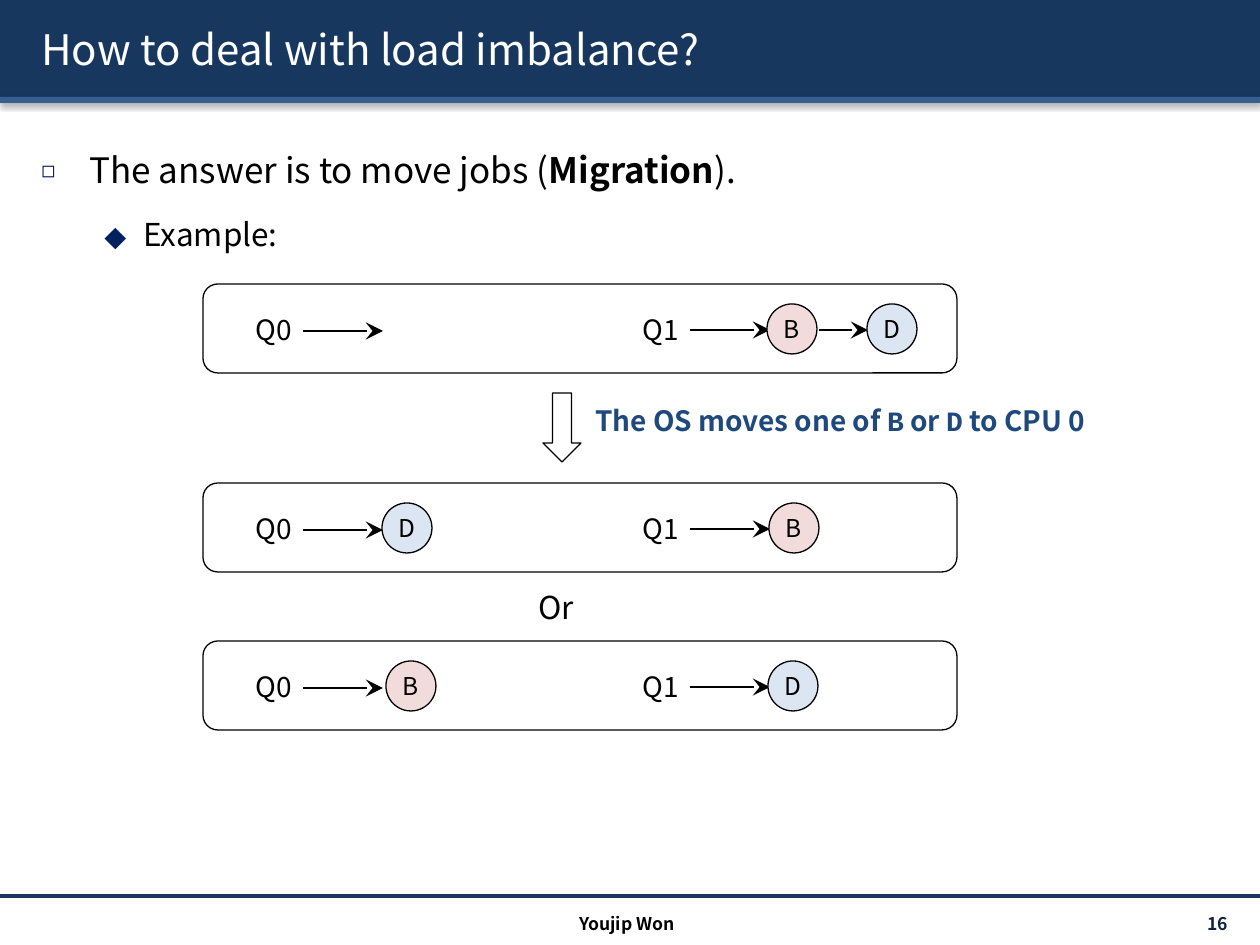
from lxml import etree
from pptx import Presentation
from pptx.dml.color import RGBColor
from pptx.enum.shapes import MSO_CONNECTOR, MSO_SHAPE
from pptx.enum.text import MSO_ANCHOR, PP_ALIGN
from pptx.oxml.ns import qn
from pptx.util import Emu, Pt

LEFT, CENTER, RIGHT = PP_ALIGN.LEFT, PP_ALIGN.CENTER, PP_ALIGN.RIGHT
TOP, MIDDLE = MSO_ANCHOR.TOP, MSO_ANCHOR.MIDDLE
STRAIGHT = MSO_CONNECTOR.STRAIGHT
RECT, ROUNDED = MSO_SHAPE.RECTANGLE, MSO_SHAPE.ROUNDED_RECTANGLE
OVAL, DOWN_ARROW = MSO_SHAPE.OVAL, MSO_SHAPE.DOWN_ARROW

NAVY = RGBColor(0x17, 0x37, 0x5E)
STEEL = RGBColor(0x37, 0x60, 0x92)
BULLET_BLUE = RGBColor(0x00, 0x20, 0x60)
NOTE_BLUE = RGBColor(0x1F, 0x49, 0x7D)
PAGE_BLUE = RGBColor(0x0F, 0x24, 0x3E)
PINK = RGBColor(0xF2, 0xDC, 0xDB)
PALE_BLUE = RGBColor(0xDC, 0xE6, 0xF2)
BLACK = RGBColor(0, 0, 0)
WHITE = RGBColor(255, 255, 255)

SANS, MONO = "Noto Sans CJK KR", "Courier New"
WIDTH, HEIGHT = 1260, 945

TITLE = "How to deal with load imbalance?"
POINTS = [
    dict(runs=[("The answer is to move jobs (", {}), ("Migration", dict(bold=True)), (").", {})],
         size=20, bullet="◻", bullet_size=65, margin=48, hang=48, before=0),
    dict(runs=[("Example:", {})],
         size=18, bullet="⬥", bullet_size=100, margin=102, hang=39, before=3.6),
]
NOTE = [("The OS moves one of ", {}), ("B", dict(font=MONO)), (" or ", {}),
        ("D", dict(font=MONO)), (" to CPU 0", {})]
AUTHOR, PAGE = "Youjip Won", "16"

JOB_FILLS = {"B": PINK, "D": PALE_BLUE}
QUEUES = [("Q0", 243, 47), ("Q1", 630, 46)]
STATES = [
    dict(top=284, jobs=[("B", 767), ("D", 867)], links=[(819, 868)]),
    dict(top=483, jobs=[("B", 769), ("D", 382)], links=[]),
    dict(top=641, jobs=[("B", 386), ("D", 768)], links=[]),
]
PANEL_LEFT, PANEL_WIDTH, PANEL_HEIGHT = 203, 754, 89
JOB_SIZE, JOB_DROP, LABEL_DROP = 50, 20, 22
ARROW_OFFSET, ARROW_LENGTH = 60, 80


def px(value):
    return Emu(round(value * 914400 / 126))


def add_effects(parent, distance=None, blur=0, alpha=100):
    effects = etree.SubElement(parent, qn("a:effectLst"))
    if distance is not None:
        shadow = etree.SubElement(effects, qn("a:outerShdw"), blurRad=str(Pt(blur)),
                                  dist=str(Pt(distance)), dir="5400000", rotWithShape="0")
        color = etree.SubElement(shadow, qn("a:srgbClr"), val=str(BLACK))
        etree.SubElement(color, qn("a:alpha"), val=str(alpha * 1000))
    return effects


def write(frame, runs, size=16, color=BLACK, bold=False, align=LEFT, anchor=TOP,
          wrap=True, paragraph=None):
    frame.word_wrap = wrap
    frame.vertical_anchor = anchor
    paragraph = paragraph or frame.paragraphs[0]
    paragraph.alignment = align
    for text, style in [(runs, {})] if isinstance(runs, str) else runs:
        run = paragraph.add_run()
        run.text = text
        run.font.size = Pt(size)
        run.font.bold = style.get("bold", bold)
        run.font.color.rgb = color
        run.font.name = style.get("font", SANS)
    return paragraph


def add_text(slide, box, runs, **style):
    frame = slide.shapes.add_textbox(*map(px, box)).text_frame
    write(frame, runs, **style)
    return frame


def add_shape(slide, kind, box, fill=None, line=None):
    shape = slide.shapes.add_shape(kind, *map(px, box))
    shape.shadow.inherit = False
    if fill is None:
        shape.fill.background()
    else:
        shape.fill.solid()
        shape.fill.fore_color.rgb = fill
    if line is None:
        shape.line.fill.background()
    else:
        shape.line.color.rgb = line
        shape.line.width = Pt(0.75)
    return shape


def add_line(slide, start, end, y, color=BLACK, width=1.5, arrow=True):
    line = slide.shapes.add_connector(STRAIGHT, px(start), px(y), px(end), px(y))
    line.line.color.rgb = color
    line.line.width = Pt(width)
    if arrow:
        etree.SubElement(line.line._get_or_add_ln(), qn("a:tailEnd"),
                         type="stealth", w="lg", len="lg")
    add_effects(line._element.spPr)


def add_header(slide):
    for top, height, fill in [(0, 97, NAVY), (97, 6, STEEL)]:
        bar = add_shape(slide, RECT, (0, top, WIDTH, height), fill)
        properties = bar._element.spPr
        properties.remove(properties.find(qn("a:effectLst")))
        add_effects(properties, distance=1.6, blur=3.1, alpha=38)
    frame = add_text(slide, (29, 8, 1211, 81), TITLE, size=24, color=WHITE, anchor=MIDDLE)
    run_properties = frame.paragraphs[0].runs[0].font._element
    effects = add_effects(run_properties, distance=1)
    run_properties.find(qn("a:solidFill")).addnext(effects)


def add_points(slide):
    frame = slide.shapes.add_textbox(*map(px, (29, 121, 1211, 759))).text_frame
    for index, point in enumerate(POINTS):
        paragraph = frame.add_paragraph() if index else frame.paragraphs[0]
        paragraph.line_spacing = 1.5
        paragraph.space_before = Pt(point["before"])
        properties = paragraph._p.get_or_add_pPr()
        properties.set("marL", str(px(point["margin"])))
        properties.set("indent", str(px(-point["hang"])))
        color = etree.SubElement(properties, qn("a:buClr"))
        etree.SubElement(color, qn("a:srgbClr"), val=str(BULLET_BLUE))
        etree.SubElement(properties, qn("a:buSzPct"), val=str(point["bullet_size"] * 1000))
        etree.SubElement(properties, qn("a:buFont"), typeface=SANS)
        etree.SubElement(properties, qn("a:buChar"), char=point["bullet"])
        write(frame, point["runs"], size=point["size"], paragraph=paragraph)


def add_state(slide, top, jobs, links):
    add_shape(slide, ROUNDED, (PANEL_LEFT, top, PANEL_WIDTH, PANEL_HEIGHT), line=BLACK)
    for queue, left, drop in QUEUES:
        add_text(slide, (left, top + LABEL_DROP, 63, 47), queue, wrap=False)
        start = left + ARROW_OFFSET
        add_line(slide, start, start + ARROW_LENGTH, top + drop)
    for start, end in links:
        add_line(slide, start, end, top + QUEUES[1][2])
    for job, left in jobs:
        circle = add_shape(slide, OVAL, (left, top + JOB_DROP, JOB_SIZE, JOB_SIZE),
                           JOB_FILLS[job], BLACK)
        circle.text_frame.margin_left = circle.text_frame.margin_right = 0
        write(circle.text_frame, job, size=14, align=CENTER, anchor=MIDDLE)


def main():
    deck = Presentation()
    deck.slide_width, deck.slide_height = px(WIDTH), px(HEIGHT)
    slide = deck.slides.add_slide(deck.slide_layouts[6])
    add_header(slide)
    add_points(slide)
    for state in STATES:
        add_state(slide, **state)
    add_shape(slide, DOWN_ARROW, (543, 393, 38, 69), WHITE, BLACK)
    add_text(slide, (583, 397, 643, 47), NOTE, color=NOTE_BLUE, bold=True)
    add_text(slide, (501, 582, 110, 50), "Or", size=18, align=CENTER)
    add_line(slide, 0, WIDTH, 896, color=NAVY, width=2, arrow=False)
    add_text(slide, (418, 907, 418, 30), AUTHOR, size=10, bold=True, align=CENTER)
    add_text(slide, (1093, 908, 147, 30), PAGE, size=10, color=PAGE_BLUE, bold=True,
             align=RIGHT, anchor=MIDDLE)
    deck.save("out.pptx")


if __name__ == "__main__":
    main()
